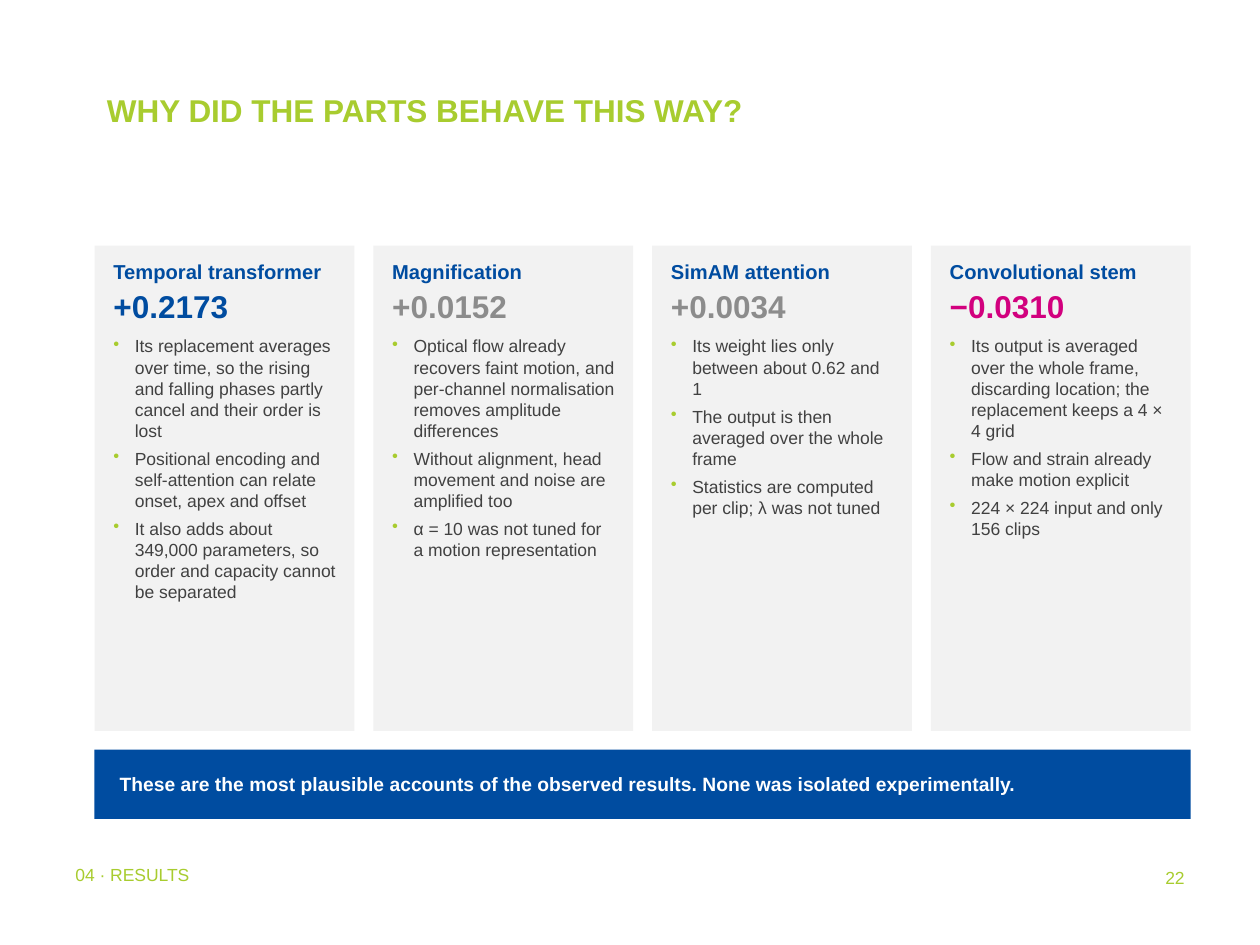
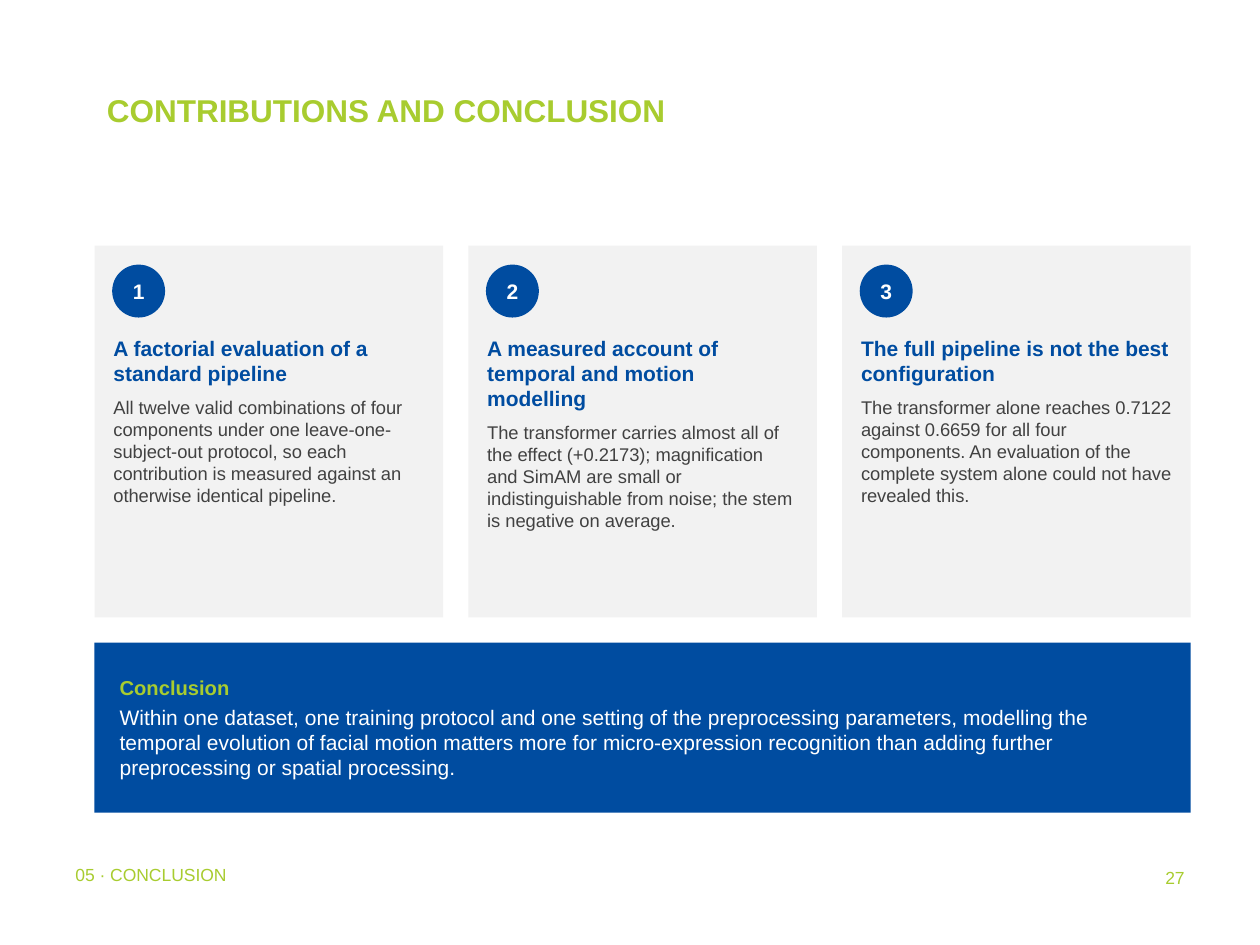
from dataclasses import dataclass

from lxml.etree import SubElement
from pptx import Presentation
from pptx.dml.color import RGBColor
from pptx.enum.shapes import MSO_SHAPE
from pptx.enum.text import MSO_ANCHOR, PP_ALIGN
from pptx.oxml.ns import qn
from pptx.util import Inches, Pt


@dataclass(frozen=True)
class Theme:
    font: str = "Arial"
    lime: str = "A8CC2F"
    blue: str = "004CA0"
    magenta: str = "D2007E"
    grey: str = "8C8C8C"
    ink: str = "414141"
    panel: str = "F2F2F2"
    white: str = "FFFFFF"
    title_size: float = 18
    value_size: float = 18
    lead_size: float = 12
    heading_size: float = 11.5
    note_size: float = 11
    body_size: float = 10.5
    small_size: float = 10


theme = Theme()

# Shared grid, in inches
left_edge, content_top, content_width = 0.75, 1.95, 8.7
panel_inset = 0.1
band_inset_x, band_inset_y = 0.15, 0.06
badge_size = 0.42
bullet_indent = 0.17


def add_box(slide, left, top, width, height, fill=None, kind=MSO_SHAPE.RECTANGLE):
    """Add a filled shape, or a text box when no fill is given."""
    place = [Inches(length) for length in (left, top, width, height)]
    if fill is None:
        return slide.shapes.add_textbox(*place)
    shape = slide.shapes.add_shape(kind, *place)
    shape.shadow.inherit = False
    shape.fill.solid()
    shape.fill.fore_color.rgb = RGBColor.from_string(fill)
    shape.line.fill.background()
    return shape


def write(shape, lines, insets=(0.05, 0.03), anchor=MSO_ANCHOR.TOP, align=PP_ALIGN.LEFT):
    """Fill a shape with lines of (text, size, colour, bold, space after, bulleted)."""
    frame = shape.text_frame
    frame.word_wrap = True
    frame.vertical_anchor = anchor
    frame.margin_left = frame.margin_right = Inches(insets[0])
    frame.margin_top = frame.margin_bottom = Inches(insets[1])
    for index, (text, size, colour, bold, space_after, bulleted) in enumerate(lines):
        paragraph = frame.add_paragraph() if index else frame.paragraphs[0]
        paragraph.text = text
        paragraph.alignment = align
        paragraph.space_after = Pt(space_after)
        if bulleted:
            properties = paragraph._p.get_or_add_pPr()
            properties.set("marL", str(Inches(bullet_indent)))
            properties.set("indent", str(-Inches(bullet_indent)))
            bullet_colour = SubElement(properties, qn("a:buClr"))
            SubElement(bullet_colour, qn("a:srgbClr")).set("val", theme.lime)
            SubElement(properties, qn("a:buChar")).set("char", "•")
        paragraph.font.name = theme.font
        paragraph.font.size = Pt(size)
        paragraph.font.bold = bold
        paragraph.font.color.rgb = RGBColor.from_string(colour)


presentation = Presentation()
presentation.slide_width, presentation.slide_height = Inches(10), Inches(7.5)

# Title, footer, page number, then the closing band: top, height and lines
pages = [
    ("WHY DID THE PARTS BEHAVE THIS WAY?", "04 · RESULTS", "22", 5.95, 0.55, [
        ("These are the most plausible accounts of the observed results. "
         "None was isolated experimentally.", theme.note_size, theme.white, True, 3, False),
    ]),
    ("CONTRIBUTIONS AND CONCLUSION", "05 · CONCLUSION", "27", 5.1, 1.35, [
        ("Conclusion", theme.heading_size, theme.lime, True, 3, False),
        ("Within one dataset, one training protocol and one setting of the preprocessing "
         "parameters, modelling the temporal evolution of facial motion matters more for "
         "micro-expression recognition than adding further preprocessing or spatial "
         "processing.", theme.lead_size, theme.white, False, 3, False),
    ]),
]

slides = []
for title, footer, number, band_top, band_height, band_lines in pages:
    slide = presentation.slides.add_slide(presentation.slide_layouts[6])
    slides.append(slide)
    write(add_box(slide, left_edge, 0.67, 5.42, 1.25),
          [(title, theme.title_size, theme.lime, True, 0, False)], (0.1, 0.05))
    write(add_box(slide, 0.5, 6.83, 5.67, 0.4),
          [(footer, theme.small_size, theme.lime, False, 0, False)], (0.1, 0.03))
    write(add_box(slide, 7.42, 6.83, 2.08, 0.5),
          [(number, theme.small_size, theme.lime, False, 0, False)],
          (0.1, 0.05), align=PP_ALIGN.RIGHT)
    add_box(slide, left_edge, band_top, content_width, band_height, theme.blue)
    write(add_box(slide, left_edge + band_inset_x, band_top + band_inset_y,
                  content_width - 2 * band_inset_x, band_height - 2 * band_inset_y),
          band_lines, anchor=MSO_ANCHOR.MIDDLE)

results_slide, conclusion_slide = slides

# Results: one panel per component
components = [
    ("Temporal transformer", "+0.2173", theme.blue, [
        "Its replacement averages over time, so the rising and falling phases partly "
        "cancel and their order is lost",
        "Positional encoding and self-attention can relate onset, apex and offset",
        "It also adds about 349,000 parameters, so order and capacity cannot be separated",
    ]),
    ("Magnification", "+0.0152", theme.grey, [
        "Optical flow already recovers faint motion, and per-channel normalisation "
        "removes amplitude differences",
        "Without alignment, head movement and noise are amplified too",
        "α = 10 was not tuned for a motion representation",
    ]),
    ("SimAM attention", "+0.0034", theme.grey, [
        "Its weight lies only between about 0.62 and 1",
        "The output is then averaged over the whole frame",
        "Statistics are computed per clip; λ was not tuned",
    ]),
    ("Convolutional stem", "−0.0310", theme.magenta, [
        "Its output is averaged over the whole frame, discarding location; the "
        "replacement keeps a 4 × 4 grid",
        "Flow and strain already make motion explicit",
        "224 × 224 input and only 156 clips",
    ]),
]
gap = 0.15
column_width = (content_width - gap * (len(components) - 1)) / len(components)
for column, (name, effect, effect_colour, reasons) in enumerate(components):
    left = left_edge + column * (column_width + gap)
    add_box(results_slide, left, content_top, column_width, 3.85, theme.panel)
    lines = [(name, theme.heading_size, theme.blue, True, 2, False),
             (effect, theme.value_size, effect_colour, True, 6, False)]
    lines += [(reason, theme.small_size, theme.ink, False, 4, True) for reason in reasons]
    write(add_box(results_slide, left + panel_inset, content_top + 0.08,
                  column_width - 2 * panel_inset, 3.7), lines)

# Conclusion: one numbered panel per contribution
contributions = [
    ("A factorial evaluation of a standard pipeline",
     "All twelve valid combinations of four components under one leave-one-subject-out "
     "protocol, so each contribution is measured against an otherwise identical pipeline."),
    ("A measured account of temporal and motion modelling",
     "The transformer carries almost all of the effect (+0.2173); magnification and SimAM "
     "are small or indistinguishable from noise; the stem is negative on average."),
    ("The full pipeline is not the best configuration",
     "The transformer alone reaches 0.7122 against 0.6659 for all four components. An "
     "evaluation of the complete system alone could not have revealed this."),
]
gap = 0.2
column_width = (content_width - gap * (len(contributions) - 1)) / len(contributions)
for column, (heading, account) in enumerate(contributions):
    left = left_edge + column * (column_width + gap)
    add_box(conclusion_slide, left, content_top, column_width, 2.95, theme.panel)
    badge = add_box(conclusion_slide, left + 0.14, content_top + 0.15,
                    badge_size, badge_size, theme.blue, MSO_SHAPE.OVAL)
    write(badge, [(str(column + 1), theme.lead_size, theme.white, True, 0, False)],
          (0, 0), MSO_ANCHOR.MIDDLE, PP_ALIGN.CENTER)
    write(add_box(conclusion_slide, left + panel_inset, content_top + 0.68,
                  column_width - 2 * panel_inset, 2.2),
          [(heading, theme.lead_size, theme.blue, True, 6, False),
           (account, theme.body_size, theme.ink, False, 3, False)])

presentation.save("out.pptx")
